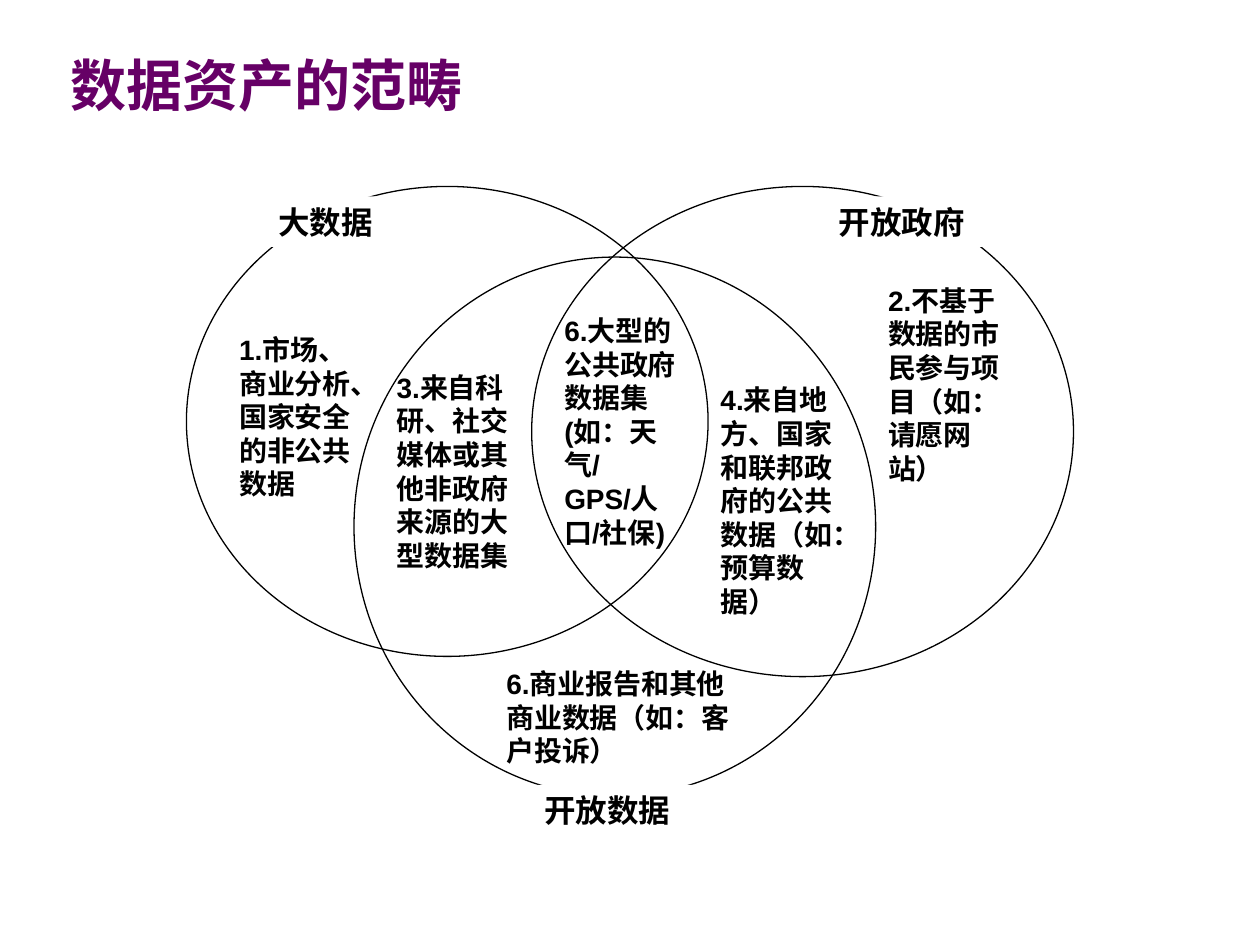
from pptx import Presentation
from pptx.dml.color import RGBColor
from pptx.enum.shapes import MSO_SHAPE
from pptx.enum.text import MSO_ANCHOR, MSO_AUTO_SIZE, PP_ALIGN
from pptx.util import Inches, Pt
from lxml.etree import SubElement
from pptx.oxml.ns import qn

COLORS = {"title": "660066", "ink": "000000", "paper": "FFFFFF"}
LATIN_FONT = "Arial"
CHINESE_FONT = "Noto Sans CJK SC"
COLUMNS, ROWS = 100, 75

# Places are (column, row, columns wide, rows high).
CIRCLES = [
    (42.2, 14.8, 43, 38.9),
    (14.8, 14.8, 41.4, 37.3),
    (28.1, 20.4, 41.4, 42.8),
]
SET_NAMES = [
    ("大数据", (21.1, 15.6, 10.9, 4)),
    ("开放政府", (65.6, 15.6, 13.3, 4)),
    ("开放数据", (42.2, 62.3, 13.3, 4)),
]
REGIONS = [
    ("1.市场、商业分析、国家安全的非公共数据", (18, 25.9, 10.9, 17.2)),
    ("2.不基于数据的市民参与项目（如：请愿网站）", (69.5, 22, 10.9, 19.9)),
    ("3.来自科研、社交媒体或其他非政府来源的大型数据集", (30.5, 28.9, 10.9, 22.5)),
    ("4.来自地方、国家和联邦政府的公共数据（如：预算数据）", (56.2, 29.9, 11.7, 19.9)),
    ("6.大型的公共政府数据集(如：天气/GPS/人口/社保)", (43.8, 24.4, 10.9, 19.9)),
    ("6.商业报告和其他商业数据（如：客户投诉）", (39.2, 52.4, 21, 9.1)),
]


class VennSlide:
    def __init__(self, deck):
        self.column = deck.slide_width / COLUMNS
        self.row = deck.slide_height / ROWS
        self.page = deck.slides.add_slide(deck.slide_layouts[5])
        self.diagram = self.page.shapes.add_group_shape()

    def place(self, area):
        """Turn grid units into slide lengths."""
        units = (self.column, self.row) * 2
        return [round(length * unit) for length, unit in zip(area, units)]

    def set_text(self, frame, text, size, color, font=LATIN_FONT):
        frame.text = text
        frame.word_wrap = True
        para = frame.paragraphs[0]
        para.alignment = PP_ALIGN.LEFT
        span = para.runs[0]
        span.font.name = font
        span.font.size = Pt(size)
        span.font.bold = True
        span.font.color.rgb = RGBColor.from_string(COLORS[color])
        east_asian = SubElement(span.font._element, qn("a:ea"))
        east_asian.set("typeface", CHINESE_FONT)

    def title(self, text, area):
        box = self.page.shapes.title
        box.left, box.top, box.width, box.height = self.place(area)
        box.text_frame.vertical_anchor = MSO_ANCHOR.MIDDLE
        self.set_text(box.text_frame, text, 32, "title", CHINESE_FONT)

    def circle(self, area):
        oval = self.diagram.shapes.add_shape(MSO_SHAPE.OVAL, *self.place(area))
        oval.shadow.inherit = False
        oval.fill.background()
        oval.line.color.rgb = RGBColor.from_string(COLORS["ink"])
        oval.line.width = Pt(0.75)

    def set_name(self, text, area):
        box = self.diagram.shapes.add_shape(MSO_SHAPE.RECTANGLE, *self.place(area))
        box.shadow.inherit = False
        box.fill.solid()
        box.fill.fore_color.rgb = RGBColor.from_string(COLORS["paper"])
        box.line.fill.background()
        self.fit_text(box, text, 18)

    def region(self, text, area):
        box = self.diagram.shapes.add_textbox(*self.place(area))
        self.fit_text(box, text, 16)

    def fit_text(self, box, text, size):
        frame = box.text_frame
        self.set_text(frame, text, size, "ink")
        frame.vertical_anchor = MSO_ANCHOR.TOP
        frame.auto_size = MSO_AUTO_SIZE.SHAPE_TO_FIT_TEXT


def main():
    deck = Presentation()
    deck.slide_width, deck.slide_height = Inches(10), Inches(7.5)
    slide = VennSlide(deck)
    slide.title("数据资产的范畴", (4.6, 0.4, 90, 12.5))
    for area in CIRCLES:
        slide.circle(area)
    for text, area in SET_NAMES:
        slide.set_name(text, area)
    for text, area in REGIONS:
        slide.region(text, area)
    deck.save("out.pptx")


if __name__ == "__main__":
    main()
